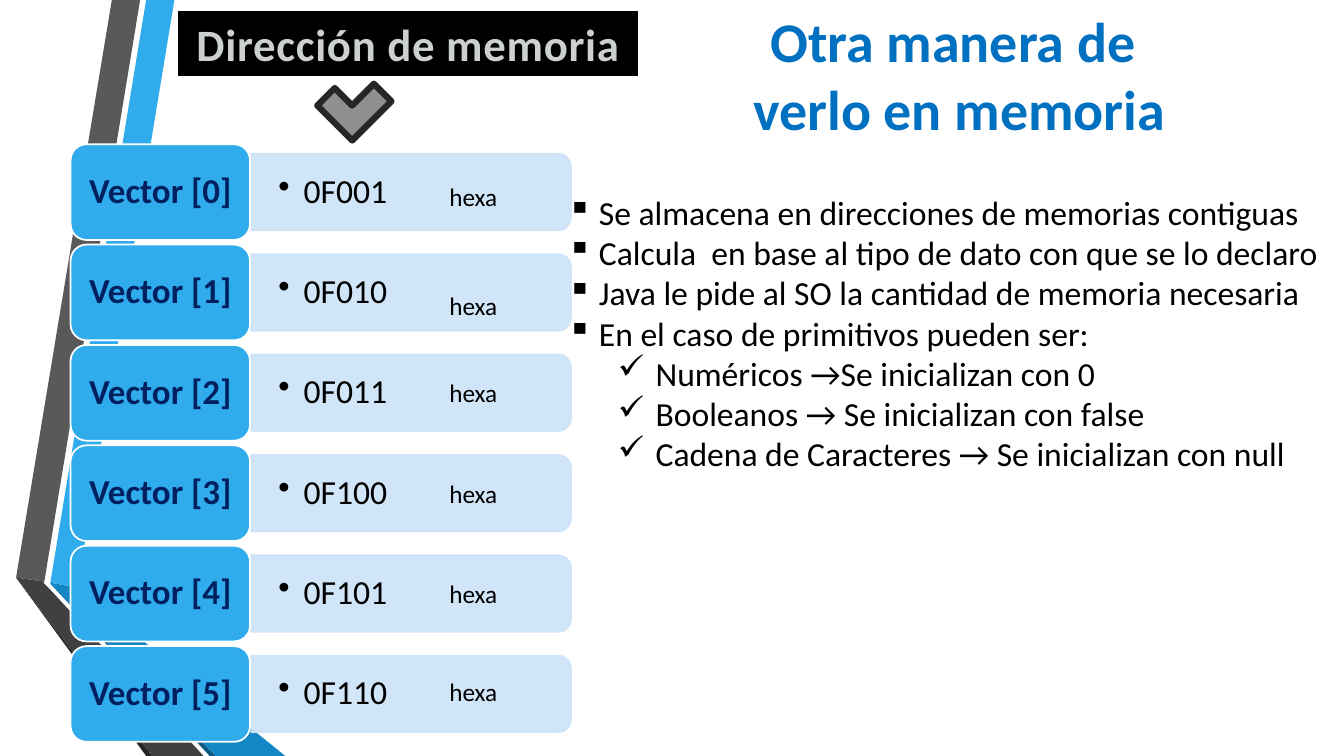
from lxml import etree
from pptx import Presentation
from pptx.dml.color import RGBColor
from pptx.enum.shapes import MSO_SHAPE
from pptx.enum.text import MSO_ANCHOR, PP_ALIGN
from pptx.oxml.ns import qn
from pptx.util import Pt

CENTER, LEFT = PP_ALIGN.CENTER, PP_ALIGN.LEFT
MIDDLE, TOP = MSO_ANCHOR.MIDDLE, MSO_ANCHOR.TOP
BAND, CELL = MSO_SHAPE.ROUND_2_SAME_RECTANGLE, MSO_SHAPE.ROUNDED_RECTANGLE
BOX, CORNER = MSO_SHAPE.RECTANGLE, MSO_SHAPE.CORNER

FONT = "Calibri"
BLACK = RGBColor(0x00, 0x00, 0x00)
WHITE = RGBColor(0xFF, 0xFF, 0xFF)
SKY = RGBColor(0x30, 0xAC, 0xEC)
OCEAN = RGBColor(0x12, 0x87, 0xC3)
DEEP = RGBColor(0x0C, 0x5A, 0x82)
GRAY = RGBColor(0x59, 0x59, 0x59)
DARK = RGBColor(0x40, 0x40, 0x40)
DARKEST = RGBColor(0x26, 0x26, 0x26)
STEEL = RGBColor(0x90, 0x90, 0x90)
SILVER = RGBColor(0xCD, 0xD0, 0xD1)
PALE = RGBColor(0xCD, 0xE3, 0xF8)
NAVY = RGBColor(0x00, 0x20, 0x60)
TITLE_BLUE = RGBColor(0x00, 0x70, 0xC0)

TITLE = "Otra manera de\v verlo en memoria"
HEADING = "Dirección de memoria"
UNIT = "hexa"
# Address of each vector element and the top of its unit label
ADDRESSES = [("0F001", 126), ("0F010", 203.8), ("0F011", 265.7),
             ("0F100", 338.4), ("0F101", 409.7), ("0F110", 479.5)]
# Bullet, text
NOTES = [
    ("▪", "Se almacena en direcciones de memorias contiguas"),
    ("▪", "Calcula  en base al tipo de dato con que se lo declaro"),
    ("▪", "Java le pide al SO la cantidad de memoria necesaria"),
    ("▪", "En el caso de primitivos pueden ser:"),
    ("✓", "Numéricos →Se inicializan con 0"),
    ("✓", "Booleanos → Se inicializan con false"),
    ("✓", "Cadena de Caracteres → Se inicializan con null"),
]
NOTE_INDENTS = {"▪": (22.5, 22.5), "✓": (63, 27)}  # left margin, hanging
RIBBONS = [
    (SKY, [(36, 416.2), (55.4, 419.8), (124.6, 0), (104.4, 0)]),
    (GRAY, [(100.1, 0), (79.9, 0), (11.5, 412.6), (31.7, 415.4)]),
    (DARKEST, [(11.5, 412.6), (104.4, 540), (108.7, 540)]),
    (DEEP, [(36, 416.9), (149.8, 540), (154.1, 540)]),
    (OCEAN, [(36, 416.9), (154.1, 540), (203.8, 540), (55.4, 419.8), (36, 416.2)]),
    (DARK, [(145.4, 540), (34.6, 419.8), (31, 416.2), (31.7, 415.4),
            (11.5, 412.6), (108.7, 540)]),
]

FIRST_ROW, ROW_PITCH = 137.2, 71.7  # centre of the first row, row step
CELL_LEFT, CELL_W, CELL_H = 50.4, 128.2, 68.4
BAND_LEFT, BAND_W, BAND_H = 179.5, 228.3, 54.7

prs = Presentation()
prs.slide_width, prs.slide_height = Pt(960), Pt(540)
shapes = prs.slides.add_slide(prs.slide_layouts[6]).shapes


def paint(shape, fill, line=None, width=0):
    shape.shadow.inherit = False
    shape.fill.solid()
    shape.fill.fore_color.rgb = fill
    if line is None:
        shape.line.fill.background()
    else:
        shape.line.color.rgb = line
        shape.line.width = Pt(width)


def add_painted(kind, left, top, width, height, fill, line, line_width):
    shape = shapes.add_shape(kind, Pt(left), Pt(top), Pt(width), Pt(height))
    paint(shape, fill, line, line_width)
    return shape


def add_box(left, top, width, height):
    return shapes.add_textbox(Pt(left), Pt(top), Pt(width), Pt(height))


def style(paragraph, text, size, color, bold=False, align=LEFT):
    paragraph.text = text
    paragraph.alignment = align
    font = paragraph.font
    font.name, font.size, font.bold = FONT, Pt(size), bold
    font.color.rgb = color


def write(shape, text, size, color, bold=False, align=LEFT, anchor=TOP, wrap=True):
    """Fill a shape with one paragraph and return that paragraph."""
    frame = shape.text_frame
    frame.word_wrap, frame.vertical_anchor = wrap, anchor
    style(frame.paragraphs[0], text, size, color, bold, align)
    return frame.paragraphs[0]


def add_bullet(paragraph, mark, margin, hanging):
    props = paragraph._p.get_or_add_pPr()
    props.set("marL", str(Pt(margin)))
    props.set("indent", str(-Pt(hanging)))
    bullet = etree.Element(qn("a:buChar"), char=mark)
    defaults = props.find(qn("a:defRPr"))
    if defaults is None:
        props.append(bullet)
    else:
        defaults.addprevious(bullet)


def make_translucent(color_format_parent, percent):
    for color in color_format_parent.iter(qn("a:srgbClr")):
        etree.SubElement(color, qn("a:alpha"), val=str(percent * 1000))


def add_ribbon(color, points):
    (x, y), *rest = [(Pt(px), Pt(py)) for px, py in points]
    outline = shapes.build_freeform(x, y)
    outline.add_line_segments(rest, close=True)
    paint(outline.convert_to_shape(), color)


def add_row(index, address):
    middle = FIRST_ROW + index * ROW_PITCH
    # The band stands upright and is turned so its round corners face right
    band = add_painted(BAND, BAND_LEFT + (BAND_W - BAND_H) / 2, middle - BAND_W / 2,
                       BAND_H, BAND_W, PALE, PALE, 1.25)
    band.rotation = 90
    make_translucent(band._element.spPr, 90)

    value = add_box(BAND_LEFT, middle - 24.5, 226, 49)
    frame = value.text_frame
    frame.margin_left = frame.margin_right = Pt(19.4)
    frame.margin_top = frame.margin_bottom = Pt(10)
    line = write(value, address, 24, BLACK, anchor=MIDDLE)
    line.line_spacing = 0.9
    add_bullet(line, "•", 18, 18)

    cell = add_painted(CELL, CELL_LEFT, middle - CELL_H / 2, CELL_W, CELL_H,
                       SKY, WHITE, 1.25)
    label = write(cell, f"Vector [{index}]", 25, NAVY, True, CENTER, MIDDLE)
    label.line_spacing = 0.9


for color, points in RIBBONS:
    add_ribbon(color, points)

write(add_box(483.1, 0.7, 395.3, 104.4), TITLE, 40, TITLE_BLUE, True, CENTER, MIDDLE)

for index, (address, _) in enumerate(ADDRESSES):
    add_row(index, address)

notes = add_box(398.2, 133.2, 561.6, 262).text_frame
notes.word_wrap = True
for index, (mark, text) in enumerate(NOTES):
    note = notes.add_paragraph() if index else notes.paragraphs[0]
    style(note, text, 24, BLACK)
    add_bullet(note, mark, *NOTE_INDENTS[mark])

for _, unit_top in ADDRESSES:
    write(add_box(313.9, unit_top, 49, 28.8), UNIT, 18, BLACK, wrap=False)

heading = add_painted(BOX, 127.4, 7.9, 328.3, 46.1, BLACK, BLACK, 0.75)
heading_line = write(heading, HEADING, 32, SILVER, True, CENTER, MIDDLE, wrap=False)
heading_line.runs[0]._r.get_or_add_rPr().set("spc", "50")

check = add_painted(CORNER, 233.3, 56.2, 39.6, 35.3, STEEL, DARKEST, 4.5)
check.rotation = 315

prs.save("out.pptx")
